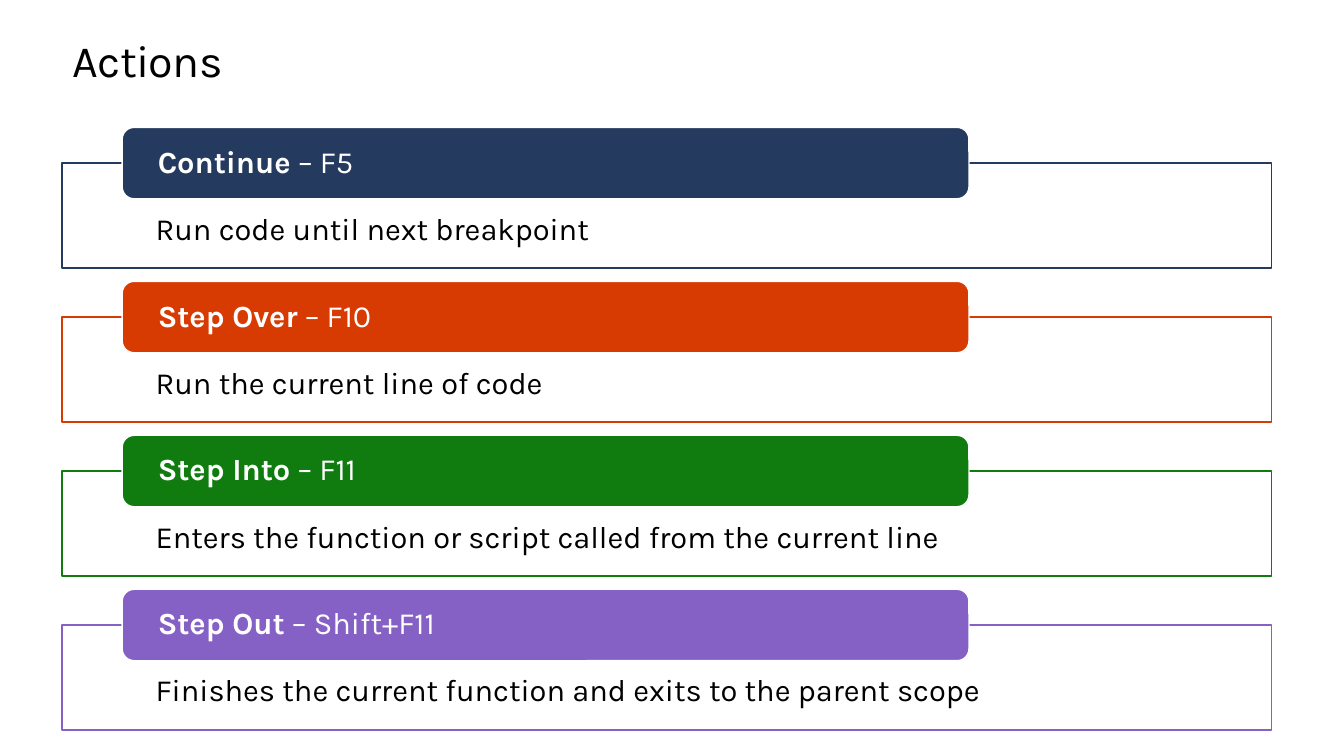
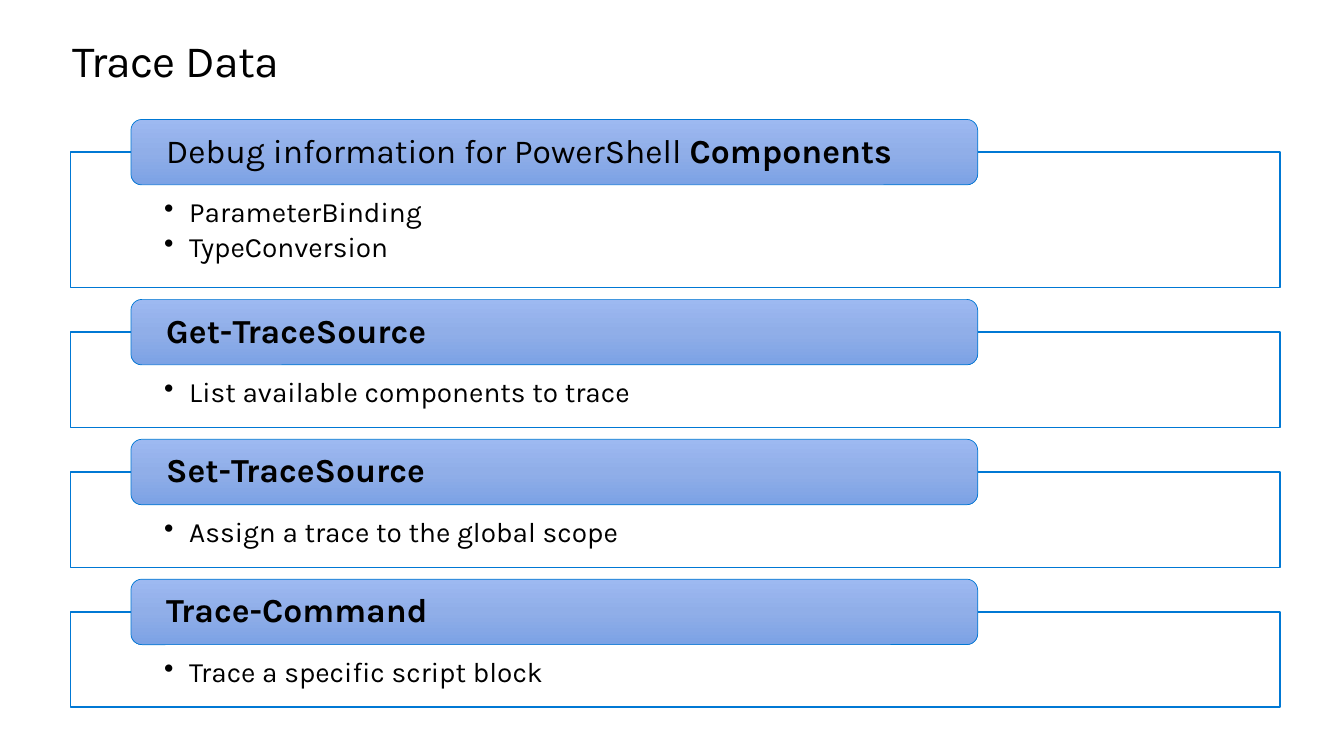
from copy import deepcopy
from dataclasses import dataclass

from lxml.etree import SubElement
from pptx import Presentation
from pptx.dml.color import RGBColor
from pptx.enum.shapes import MSO_SHAPE
from pptx.enum.text import MSO_ANCHOR, MSO_AUTO_SIZE, PP_ALIGN
from pptx.oxml.ns import qn
from pptx.util import Cm, Pt

# Shared style
FONT = "Karla"
BLACK, WHITE = "000000", "FFFFFF"
NAVY, ORANGE, GREEN, PURPLE, BLUE = "243A5E", "D83B01", "107C10", "8661C5", "0078D4"
SKY = ((0, "9DB9F1"), (0.5, "90AEE8"), (1, "7CA2E5"))

# Shared geometry in centimetres
FRAME_W, HEADER_W, HEADER_DX = 30.48, 21.34, 1.52
FRAME_PAD, HEADER_PAD, INDENT = 2.36, 0.81, 0.63


@dataclass
class Card:
    header: list[tuple[str, bool]]  # text and bold flag of each run
    lines: list[str]
    color: str
    height: float


@dataclass
class Stack:
    """Look and placement of one column of cards."""
    left: float
    top: float
    gap: float
    header_h: float
    pad_top: float
    pad_bottom: float
    header_size: int
    body_size: int
    header_color: str
    header_line: float
    bulleted: bool
    gradient: bool


def rgb(value: str) -> RGBColor:
    return RGBColor.from_string(value)


def add_run(p, text: str, size: int, color: str, bold: bool = False):
    r = p.add_run()
    r.text = text
    r.font.name, r.font.size, r.font.bold = FONT, Pt(size), bold
    r.font.color.rgb = rgb(color)
    return r


def add_box(slide, kind, left: float, top: float, width: float, height: float,
            line: str, line_width: float):
    sp = slide.shapes.add_shape(kind, Cm(left), Cm(top), Cm(width), Cm(height))
    sp.shadow.inherit = False
    sp.line.color.rgb = rgb(line)
    sp.line.width = Pt(line_width)
    return sp


def set_margins(tf, side: float, top: float = 0, bottom: float = 0) -> None:
    tf.word_wrap = True
    tf.margin_left = tf.margin_right = Cm(side)
    tf.margin_top, tf.margin_bottom = Cm(top), Cm(bottom)


def fill_solid(sp, color: str, opacity: int = 100) -> None:
    sp.fill.solid()
    sp.fill.fore_color.rgb = rgb(color)
    if opacity < 100:
        clr = sp._element.spPr.find(qn("a:solidFill"))[0]
        SubElement(clr, qn("a:alpha")).set("val", str(opacity * 1000))


def fill_gradient(sp, stops) -> None:
    sp.fill.gradient()
    sp.fill.gradient_angle = 270
    gs_list = sp._element.spPr.find(".//" + qn("a:gsLst"))
    gs_list.append(deepcopy(gs_list[0]))
    for stop, (position, color) in zip(sp.fill.gradient_stops, stops):
        stop.position = position
        stop.color.rgb = rgb(color)


def set_indent(p, bulleted: bool) -> None:
    pPr = p._p.get_or_add_pPr()
    pPr.set("marL", str(Cm(INDENT)))
    pPr.set("indent", str(-Cm(INDENT)))
    if bulleted:
        SubElement(pPr, qn("a:buChar")).set("char", "•")
    else:
        SubElement(pPr, qn("a:buNone"))


def add_frame(slide, st: Stack, card: Card, top: float) -> None:
    sp = add_box(slide, MSO_SHAPE.RECTANGLE, st.left, top, FRAME_W, card.height,
                 card.color, 1)
    fill_solid(sp, WHITE, 90)
    tf = sp.text_frame
    tf.vertical_anchor = MSO_ANCHOR.TOP
    set_margins(tf, FRAME_PAD, st.pad_top, st.pad_bottom)
    for i, line in enumerate(card.lines):
        p = tf.add_paragraph() if i else tf.paragraphs[0]
        p.alignment = PP_ALIGN.LEFT
        p.line_spacing, p.space_after = 0.9, Pt(3)
        set_indent(p, st.bulleted)
        add_run(p, line, st.body_size, BLACK)


def add_header(slide, st: Stack, card: Card, top: float) -> None:
    line = card.color if st.gradient else WHITE
    sp = add_box(slide, MSO_SHAPE.ROUNDED_RECTANGLE, st.left + HEADER_DX, top,
                 HEADER_W, st.header_h, line, st.header_line)
    if st.gradient:
        fill_gradient(sp, SKY)
    else:
        fill_solid(sp, card.color)
    tf = sp.text_frame
    tf.vertical_anchor = MSO_ANCHOR.MIDDLE
    set_margins(tf, HEADER_PAD)
    p = tf.paragraphs[0]
    p.alignment, p.line_spacing = PP_ALIGN.LEFT, 0.9
    for text, bold in card.header:
        add_run(p, text, st.header_size, st.header_color, bold)


def add_title(slide, text: str) -> None:
    sp = slide.shapes.title
    sp.left, sp.top, sp.width, sp.height = Cm(1.83), Cm(0.9), Cm(30.23), Cm(1.27)
    fill_solid(sp, WHITE)
    tf = sp.text_frame
    tf.auto_size, tf.vertical_anchor = MSO_AUTO_SIZE.NONE, MSO_ANCHOR.TOP
    set_margins(tf, 0)
    p = tf.paragraphs[0]
    p.alignment, p.line_spacing = PP_ALIGN.LEFT, Pt(36.2)
    r = add_run(p, text, 32, BLACK)
    r.font._element.set("spc", "-50")


def add_slide(prs, title: str, st: Stack, cards: list[Card]) -> None:
    slide = prs.slides.add_slide(prs.slide_layouts.get_by_name("Title Only"))
    add_title(slide, title)
    top = st.top
    for card in cards:
        # Each header straddles the top edge of its frame
        frame_top = top + st.header_h / 2
        add_frame(slide, st, card, frame_top)
        add_header(slide, st, card, top)
        top = frame_top + card.height + st.gap


# Slide content
ACTION_STACK = Stack(left=1.56, top=3.21, gap=0.33, header_h=1.8, pad_top=1.27,
                     pad_bottom=0.43, header_size=22, body_size=22,
                     header_color=WHITE, header_line=1, bulleted=False, gradient=False)
ACTIONS = [
    Card([(name, True), (f" – {key}", False)], [text], color, 2.65)
    for name, key, text, color in (
        ("Continue", "F5", "Run code until next breakpoint", NAVY),
        ("Step Over", "F10", "Run the current line of code", ORANGE),
        ("Step Into", "F11",
         "Enters the function or script called from the current line", GREEN),
        ("Step Out", "Shift+F11",
         "Finishes the current function and exits to the parent scope", PURPLE),
    )
]

TRACE_STACK = Stack(left=1.78, top=3.01, gap=0.3, header_h=1.65, pad_top=1.17,
                    pad_bottom=0.41, header_size=24, body_size=20,
                    header_color=BLACK, header_line=0.5, bulleted=True, gradient=True)
TRACES = [
    Card([("Debug information for PowerShell ", False), ("Components", True)],
         ["ParameterBinding", "TypeConversion"], BLUE, 3.41),
] + [
    Card([(name, True)], [text], BLUE, 2.4)
    for name, text in (
        ("Get-TraceSource", "List available components to trace"),
        ("Set-TraceSource", "Assign a trace to the global scope"),
        ("Trace-Command", "Trace a specific script block"),
    )
]


def main() -> None:
    prs = Presentation()
    prs.slide_width, prs.slide_height = Cm(33.87), Cm(19.05)
    add_slide(prs, "Actions", ACTION_STACK, ACTIONS)
    add_slide(prs, "Trace Data", TRACE_STACK, TRACES)
    prs.save("out.pptx")


if __name__ == "__main__":
    main()
